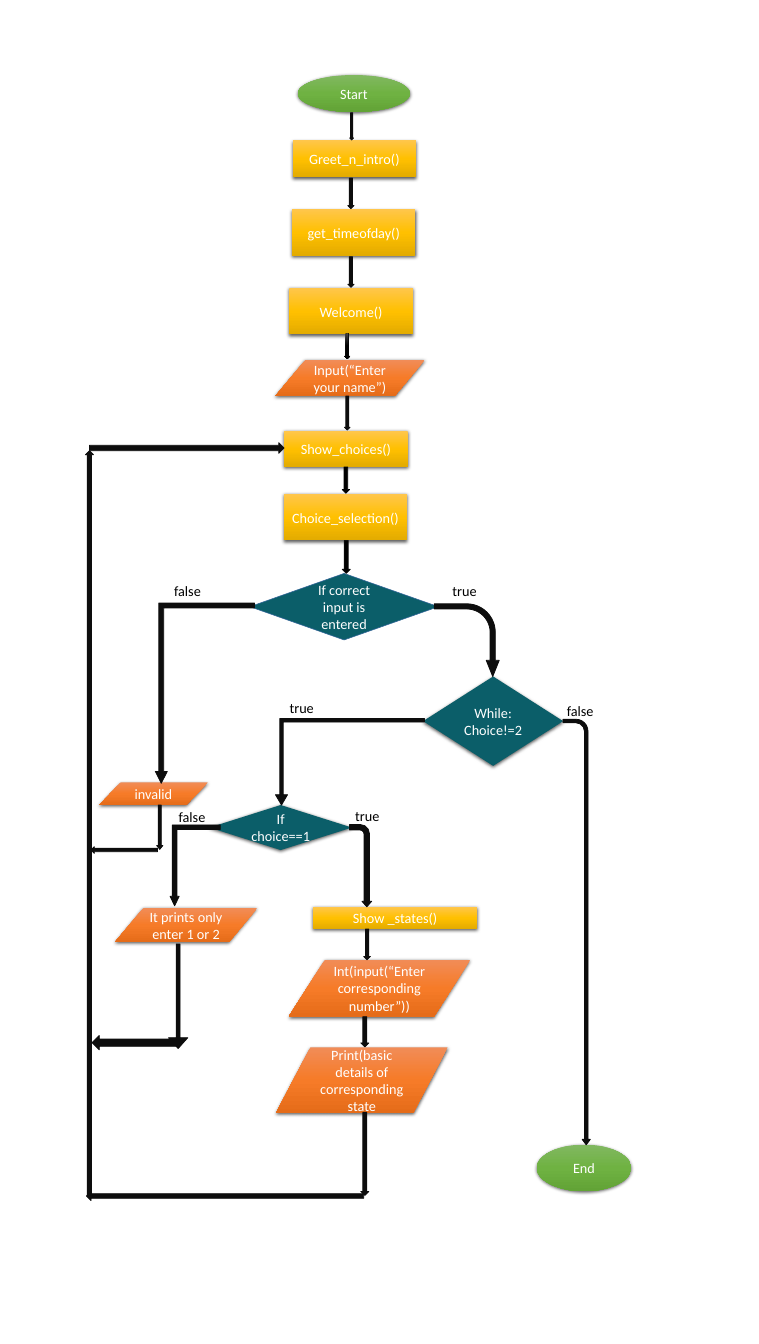
from copy import deepcopy
from dataclasses import dataclass

from lxml import etree
from pptx import Presentation
from pptx.dml.color import RGBColor
from pptx.enum import shapes, text
from pptx.oxml import ns
from pptx.util import Cm, Pt

KIND = shapes.MSO_SHAPE
FONT = "Calibri"
COLOURS = {
    "ink": "0D0D0D",
    "black": "000000",
    "white": "FFFFFF",
    "teal": "0B5E69",
    "outline": "336699",
}
GRADIENTS = {
    "green": ("81B861", "6FB242", "62A336"),
    "yellow": ("FFC64B", "FFC000", "E3AB00"),
    "orange": ("F18C57", "F67B28", "E56C19"),
    "charcoal": ("4B4B4B", "000000", "000000"),
}
STYLES = {
    "terminal": (KIND.OVAL, "green"),
    "process": (KIND.RECTANGLE, "yellow"),
    "data": (KIND.FLOWCHART_DATA, "orange"),
    "decision": (KIND.FLOWCHART_DECISION, "teal"),
}


@dataclass
class Step:
    style: str
    words: str
    place: tuple[float, float, float, float]
    outlined: bool = False


@dataclass
class Arrow:
    kind: KIND
    place: tuple[float, float, float, float]
    adjust: tuple[float, ...] = ()
    turn: int = 0
    fill: str = "ink"
    line: str = "ink"
    weight: float = 1


@dataclass
class Label:
    words: str
    left: float
    top: float
    width: float


STEPS = [
    Step("terminal", "Start", (13.29, 3.35, 5, 1.65)),
    Step("process", "Greet_n_intro()", (13.06, 6.27, 5.51, 1.65)),
    Step("process", "get_timeofday()", (13.03, 9.35, 5.51, 2.06)),
    Step("process", "Welcome()", (12.91, 12.87, 5.51, 2.06)),
    Step("data", "Input(“Enter your name”)", (12.29, 16.08, 6.65, 1.6)),
    Step("process", "Show_choices()", (12.68, 19.25, 5.51, 1.6)),
    Step("process", "Choice_selection()", (12.66, 22.07, 5.51, 2.06)),
    Step("decision", "If correct input is entered", (11.15, 25.6, 8.41, 2.97), outlined=True),
    Step("decision", "While:\nChoice!=2", (18.88, 30.2, 6.25, 3.99)),
    Step("decision", "If choice==1", (9.35, 35.94, 6.35, 2.01)),
    Step("process", "Show _states()", (13.97, 40.49, 7.32, 0.99)),
    Step("data", "Int(input(“Enter corresponding number”))", (12.88, 42.85, 8.1, 2.54)),
    Step("data", "Print(basic details of corresponding state", (12.32, 46.76, 7.65, 2.92)),
    Step("data", "It prints only enter 1 or 2", (5.13, 40.54, 6.35, 1.52)),
    Step("terminal", "End", (23.95, 51.1, 4.22, 2.08)),
    Step("data", "invalid", (4.42, 34.93, 4.85, 1.02)),
]

ARROWS = [
    # Main column
    Arrow(KIND.DOWN_ARROW, (15.6, 5.03, 0.18, 1.22)),
    Arrow(KIND.DOWN_ARROW, (15.52, 7.95, 0.28, 1.37)),
    Arrow(KIND.DOWN_ARROW, (15.52, 11.46, 0.28, 1.37)),
    Arrow(KIND.DOWN_ARROW, (15.37, 14.88, 0.25, 1.14), fill="charcoal", line="black", weight=0.5),
    Arrow(KIND.DOWN_ARROW, (15.37, 17.68, 0.25, 1.52)),
    Arrow(KIND.DOWN_ARROW, (15.27, 20.85, 0.33, 1.17), fill="black", line="black"),
    Arrow(KIND.DOWN_ARROW, (15.27, 24.13, 0.36, 1.47), fill="black"),
    # Branches leaving a decision to the right
    Arrow(KIND.BENT_ARROW, (14.25, 38.15, 3.68, 0.99), (0.25, 0.22, 0.25, 0.44), 90),
    Arrow(KIND.BENT_ARROW, (16.23, 41, 19, 1.22), (0.13, 0.15, 0.2, 0.44), 90),
    Arrow(KIND.BENT_ARROW, (19.2, 27.13, 3.25, 2.9), (0.08, 0.1, 0.25, 0.44), 90),
    # Branches leaving a decision to the left
    Arrow(KIND.BENT_UP_ARROW, (6.93, 26.92, 4.42, 8.05), (0.05, 0.06, 0.12), 180),
    Arrow(KIND.BENT_UP_ARROW, (12.29, 32.08, 6.65, 3.86), (0.04, 0.07, 0.12), 180),
    Arrow(KIND.BENT_UP_ARROW, (7.59, 36.83, 2.24, 3.61), (0.09, 0.09, 0.19), 180),
    # Ways back to the choices
    Arrow(KIND.DOWN_ARROW, (7.52, 42.14, 0.86, 4.67), (0.2, 0.56)),
    Arrow(KIND.LEFT_ARROW, (4.11, 46.23, 3.91, 0.64)),
    Arrow(KIND.DOWN_ARROW, (6.99, 35.94, 0.28, 1.98), (0.5, 0.62)),
    Arrow(KIND.LEFT_ARROW, (4.06, 37.8, 2.97, 0.3)),
    Arrow(KIND.DOWN_ARROW, (16.1, 49.66, 0.36, 3.71)),
    Arrow(KIND.LEFT_ARROW, (3.86, 53.19, 12.37, 0.41)),
    Arrow(KIND.UP_ARROW, (3.81, 20.12, 0.36, 33.25)),
    Arrow(KIND.LEFT_ARROW, (3.99, 19.76, 8.69, 0.48), turn=180),
    # State details
    Arrow(KIND.DOWN_ARROW, (16.23, 41.48, 0.3, 1.37)),
    Arrow(KIND.DOWN_ARROW, (16.1, 45.39, 0.36, 1.35)),
]

LABELS = [
    Label("true", 19.94, 25.88, 1.96),
    Label("false", 7.52, 25.88, 2.69),
    Label("false", 25.04, 31.24, 2.59),
    Label("true", 12.67, 31.09, 2.01),
    Label("true", 15.6, 35.92, 1.7),
    Label("false", 7.72, 35.97, 2.13),
]


def colour(name: str) -> RGBColor:
    return RGBColor.from_string(COLOURS[name])


def paint(shape, name: str) -> None:
    """Fill a shape with a plain colour or a three-stop vertical gradient."""
    if name in COLOURS:
        shape.fill.solid()
        shape.fill.fore_color.rgb = colour(name)
        return
    shape.fill.gradient()
    shape.fill.gradient_angle = 270
    stops = shape.element.spPr.find(".//" + ns.qn("a:gsLst"))
    stops.append(deepcopy(stops[0]))
    for index, (stop, shade) in enumerate(zip(shape.fill.gradient_stops, GRADIENTS[name])):
        stop.position = index / 2
        stop.color.rgb = RGBColor.from_string(shade)


def add_shadow(shape) -> None:
    effects = shape.element.spPr.find(ns.qn("a:effectLst"))
    shadow = etree.SubElement(effects, ns.qn("a:outerShdw"), blurRad=str(Pt(4.5)),
                              dist=str(Pt(1.5)), dir="5400000", algn="ctr", rotWithShape="0")
    shade = etree.SubElement(shadow, ns.qn("a:srgbClr"), val=COLOURS["black"])
    etree.SubElement(shade, ns.qn("a:alpha"), val="63000")


def write(box, words: str, ink: str, align) -> None:
    frame = box.text_frame
    frame.text = words
    frame.word_wrap = True
    for para in frame.paragraphs:
        para.alignment = align
        for span in para.runs:
            span.font.name = FONT
            span.font.size = Pt(18)
            span.font.color.rgb = colour(ink)


def add_preset(page, kind: KIND, place: tuple[float, float, float, float], fill: str):
    shape = page.shapes.add_shape(kind, *map(Cm, place))
    shape.shadow.inherit = False
    paint(shape, fill)
    return shape


def draw_step(page, step: Step) -> None:
    kind, fill = STYLES[step.style]
    shape = add_preset(page, kind, step.place, fill)
    if step.outlined:
        shape.line.color.rgb = colour("outline")
        shape.line.width = Pt(0.75)
    else:
        shape.line.fill.background()
        add_shadow(shape)
    write(shape, step.words, "white", text.PP_ALIGN.CENTER)
    shape.text_frame.vertical_anchor = text.MSO_ANCHOR.MIDDLE


def draw_arrow(page, arrow: Arrow) -> None:
    shape = add_preset(page, arrow.kind, arrow.place, arrow.fill)
    shape.rotation = arrow.turn
    shape.line.color.rgb = colour(arrow.line)
    shape.line.width = Pt(arrow.weight)
    for index, value in enumerate(arrow.adjust):
        shape.adjustments[index] = value


def draw_label(page, label: Label) -> None:
    box = page.shapes.add_textbox(Cm(label.left), Cm(label.top), Cm(label.width), Cm(1.02))
    write(box, label.words, "black", text.PP_ALIGN.LEFT)
    box.text_frame.auto_size = text.MSO_AUTO_SIZE.SHAPE_TO_FIT_TEXT


deck = Presentation()
deck.slide_width, deck.slide_height = Cm(101.6) // 3, Cm(60)
page = deck.slides.add_slide(deck.slide_layouts[6])
for step in STEPS:
    draw_step(page, step)
for arrow in ARROWS:
    draw_arrow(page, arrow)
for label in LABELS:
    draw_label(page, label)
deck.save("out.pptx")
